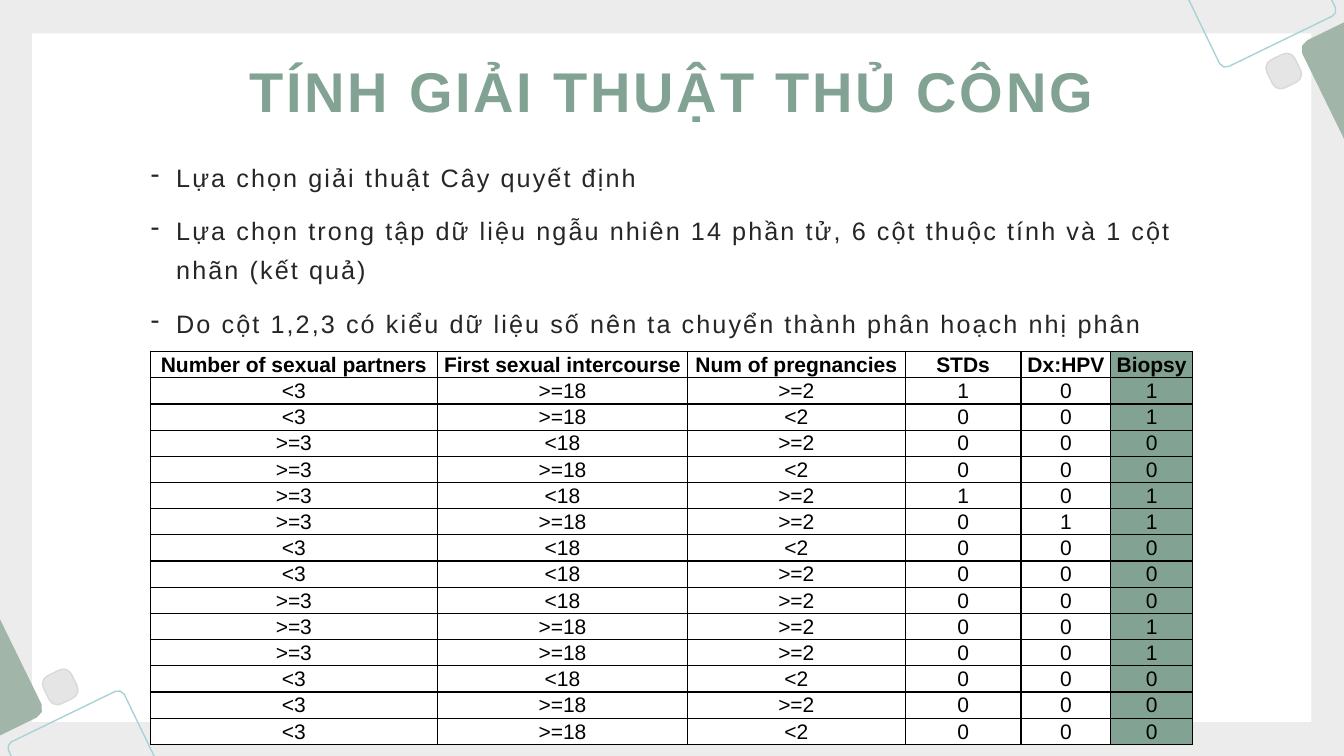
from lxml import etree
from pptx import Presentation
from pptx.dml.color import RGBColor
from pptx.enum import shapes, text
from pptx.oxml import ns
from pptx.util import Pt


def color(hex_code):
    return RGBColor.from_string(hex_code)


def style_run(run, size, hex_code, bold=False, spacing=0):
    run.font.name = "Arial"
    run.font.size = Pt(size)
    run.font.bold = bold
    run.font.color.rgb = color(hex_code)
    if spacing:
        run.font._element.set("spc", str(int(spacing * 100)))


deck = Presentation()
deck.slide_width, deck.slide_height = Pt(960), Pt(540)
slide = deck.slides.add_slide(deck.slide_layouts[6])
slide.background.fill.solid()
slide.background.fill.fore_color.rgb = color("ECECEC")

# White page
page = slide.shapes.add_shape(
    shapes.MSO_SHAPE.RECTANGLE, Pt(23), Pt(23.8), Pt(913.7), Pt(491.8))
page.shadow.inherit = False
page.fill.solid()
page.fill.fore_color.rgb = color("FFFFFF")
page.line.fill.background()

# Corner ornaments: top right, then the same turned half round for bottom left
outlined_card = [(848.9, -0.7), (951.1, -0.7), (954, 5.8), (954, 8.9), (951.8, 11.5),
                 (877.7, 47.5), (874.2, 47.8), (871.2, 45.4)]
green_card = [(960.5, 15.8), (960.5, 100.1), (930.2, 38.2), (930.1, 32.7), (933.8, 28.8)]
turn_x, turn_y = 960, 541.4
tile_size = 22.3
tile_left, tile_top = 905.8, 39.6

for turned in (False, True):
    for outline, fill, line in ((outlined_card, None, "A6D3D6"), (green_card, "A1B5A9", None)):
        points = [(Pt(turn_x - x), Pt(turn_y - y)) if turned else (Pt(x), Pt(y))
                  for x, y in outline]
        builder = slide.shapes.build_freeform(*points[0])
        builder.add_line_segments(points[1:], close=True)
        card = builder.convert_to_shape()
        card.shadow.inherit = False
        if fill:
            card.fill.solid()
            card.fill.fore_color.rgb = color(fill)
            card.line.fill.background()
        else:
            card.fill.background()
            card.line.color.rgb = color(line)
            card.line.width = Pt(1)

    left = turn_x - tile_left - tile_size if turned else tile_left
    top = turn_y - tile_top - tile_size if turned else tile_top
    tile = slide.shapes.add_shape(
        shapes.MSO_SHAPE.ROUNDED_RECTANGLE, Pt(left), Pt(top), Pt(tile_size), Pt(tile_size))
    tile.adjustments[0] = 0.29
    tile.rotation = 154 if turned else 334
    tile.shadow.inherit = False
    tile.fill.solid()
    tile.fill.fore_color.rgb = color("E5E5E5")
    tile.line.color.rgb = color("D9D9D9")
    tile.line.width = Pt(1)

# Bullet points
steps = slide.shapes.add_textbox(Pt(100.8), Pt(105.8), Pt(758.2), Pt(69.8)).text_frame
steps.word_wrap = True
steps.text = "\n".join([
    "Lựa chọn giải thuật Cây quyết định",
    "Lựa chọn trong tập dữ liệu ngẫu nhiên 14 phần tử, 6 cột thuộc tính và 1 cột nhãn (kết quả)",
    "Do cột 1,2,3 có kiểu dữ liệu số nên ta chuyển thành phân hoạch nhị phân",
])
for step in steps.paragraphs:
    step.line_spacing = 1.3
    step.space_after = Pt(10)
    properties = step._p.get_or_add_pPr()
    properties.set("marL", str(Pt(18)))
    properties.set("indent", str(-Pt(18)))
    etree.SubElement(properties, ns.qn("a:buChar")).set("char", "-")
    style_run(step.runs[0], 18, "262626", spacing=1.5)

# Title
title = slide.shapes.add_textbox(Pt(100.8), Pt(22.3), Pt(758.2), Pt(83.5)).text_frame
title.word_wrap = True
title.vertical_anchor = text.MSO_ANCHOR.MIDDLE
title.text = "TÍNH GIẢI THUẬT THỦ CÔNG"
title.paragraphs[0].alignment = text.PP_ALIGN.CENTER
style_run(title.paragraphs[0].runs[0], 40, "82A393", bold=True, spacing=2)

# Sample data
headers = ["Number of sexual partners", "First sexual intercourse", "Num of pregnancies",
           "STDs", "Dx:HPV", "Biopsy"]
samples = """\
<3 >=18 >=2 1 0 1
<3 >=18 <2 0 0 1
>=3 <18 >=2 0 0 0
>=3 >=18 <2 0 0 0
>=3 <18 >=2 1 0 1
>=3 >=18 >=2 0 1 1
<3 <18 <2 0 0 0
<3 <18 >=2 0 0 0
>=3 <18 >=2 0 0 0
>=3 >=18 >=2 0 0 1
>=3 >=18 >=2 0 0 1
<3 <18 <2 0 0 0
<3 >=18 >=2 0 0 0
<3 >=18 <2 0 0 0"""
rows = [headers] + [sample.split() for sample in samples.splitlines()]
widths = [205.2, 178.6, 155.5, 82.8, 64.1, 58.3]
row_height = 18.4

table = slide.shapes.add_table(
    len(rows), len(widths), Pt(107.3), Pt(251.1), Pt(sum(widths)),
    Pt(row_height * len(rows))).table
for column, width in zip(table.columns, widths):
    column.width = Pt(width)
for r, values in enumerate(rows):
    table.rows[r].height = Pt(row_height)
    for c, value in enumerate(values):
        cell = table.cell(r, c)
        cell.margin_left = cell.margin_right = cell.margin_top = Pt(0.7)
        cell.margin_bottom = 0
        cell.vertical_anchor = text.MSO_ANCHOR.MIDDLE
        for side in ("lnL", "lnR", "lnT", "lnB"):
            border = etree.SubElement(cell._tc.get_or_add_tcPr(), ns.qn("a:" + side))
            border.set("w", str(Pt(1)))
            border_fill = etree.SubElement(border, ns.qn("a:solidFill"))
            etree.SubElement(border_fill, ns.qn("a:srgbClr")).set("val", "000000")
        cell.fill.solid()
        cell.fill.fore_color.rgb = color("82A393" if headers[c] == "Biopsy" else "FFFFFF")
        cell.text_frame.text = value
        paragraph = cell.text_frame.paragraphs[0]
        paragraph.alignment = text.PP_ALIGN.CENTER
        style_run(paragraph.runs[0], 15, "000000", bold=r == 0)

deck.save("out.pptx")
